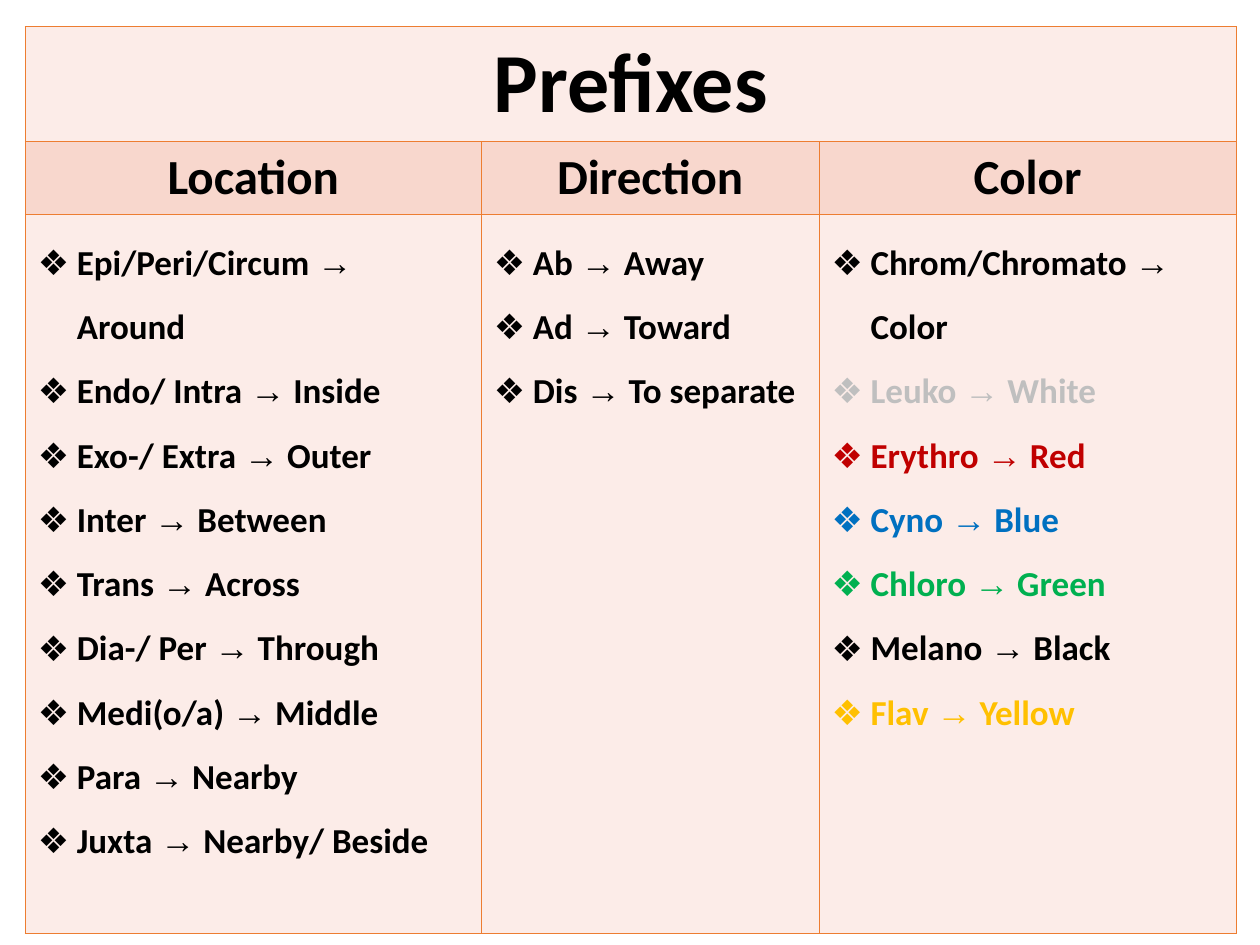
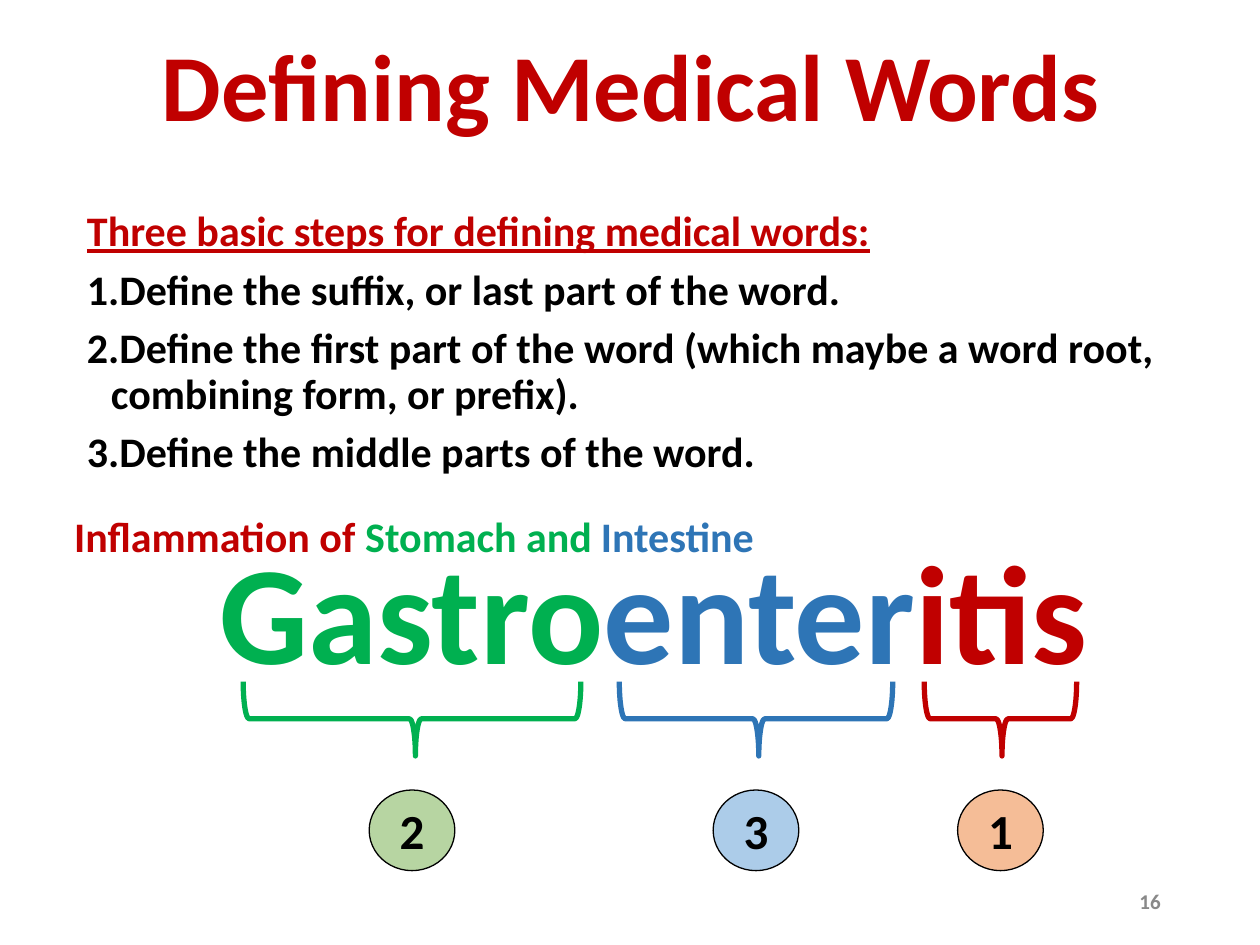
from dataclasses import dataclass

from lxml.etree import SubElement
from pptx import Presentation
from pptx.dml.color import RGBColor
from pptx.enum.shapes import MSO_SHAPE
from pptx.enum.text import MSO_ANCHOR, MSO_AUTO_SIZE, PP_ALIGN
from pptx.oxml.ns import qn
from pptx.util import Inches, Pt

COLUMNS, ROWS = 100, 75
SLIDE_WIDTH, SLIDE_HEIGHT = Inches(10), Inches(7.5)
TEXT_FONT, SYMBOL_FONT = "Calibri", "Arial"
BLACK = RGBColor(0x00, 0x00, 0x00)
GREY = RGBColor(0x89, 0x89, 0x89)
SILVER = RGBColor(0xBF, 0xBF, 0xBF)
RED = RGBColor(0xC0, 0x00, 0x00)
BLUE = RGBColor(0x00, 0x70, 0xC0)
DEEP_BLUE = RGBColor(0x2E, 0x75, 0xB6)
SKY_BLUE = RGBColor(0x5B, 0x9B, 0xD5)
GREEN = RGBColor(0x00, 0xB0, 0x50)
LEAF_GREEN = RGBColor(0x70, 0xAD, 0x47)
YELLOW = RGBColor(0xFF, 0xC0, 0x00)
ORANGE = RGBColor(0xED, 0x7D, 0x31)
PALE_ROSE = RGBColor(0xFC, 0xEC, 0xE8)
ROSE = RGBColor(0xF8, 0xD7, 0xCD)

PREFIXES = {
    "Location": [
        ("Epi/Peri/Circum → Around", BLACK),
        ("Endo/ Intra → Inside", BLACK),
        ("Exo-/ Extra → Outer", BLACK),
        ("Inter → Between", BLACK),
        ("Trans → Across", BLACK),
        ("Dia-/ Per → Through", BLACK),
        ("Medi(o/a) → Middle", BLACK),
        ("Para → Nearby", BLACK),
        ("Juxta → Nearby/ Beside", BLACK),
    ],
    "Direction": [
        ("Ab → Away", BLACK),
        ("Ad → Toward", BLACK),
        ("Dis → To separate", BLACK),
    ],
    "Color": [
        ("Chrom/Chromato → Color", BLACK),
        ("Leuko → White", SILVER),
        ("Erythro → Red", RED),
        ("Cyno → Blue", BLUE),
        ("Chloro → Green", GREEN),
        ("Melano → Black", BLACK),
        ("Flav → Yellow", YELLOW),
    ],
}
STEPS = [
    "Define the suffix, or last part of the word.",
    "Define the first part of the word (which maybe a word root, combining form, or prefix).",
    "Define the middle parts of the word.",
]
WORD_PARTS = [("Gastro", GREEN), ("enter", DEEP_BLUE), ("itis", RED)]
MEANINGS = [
    ("Inflammation of", RED, 0, 24.3),
    ("Stomach and", GREEN, 23.1, 20.8),
    ("Intestine", DEEP_BLUE, 41.8, 14.2),
]
BRACES = [
    ("2", GREEN, LEAF_GREEN, 27.8, 26.8),
    ("3", DEEP_BLUE, SKY_BLUE, 55.1, 21.7),
    ("1", RED, ORANGE, 74.5, 12.1),
]


def across(columns):
    """Turn grid columns into a length."""
    return round(SLIDE_WIDTH * columns / COLUMNS)


def down(rows):
    """Turn grid rows into a length."""
    return round(SLIDE_HEIGHT * rows / ROWS)


@dataclass
class Box:
    """An area of the slide in grid columns and rows."""

    left: float
    top: float
    width: float
    height: float

    def area(self, left, top, width, height):
        """Return an area placed relative to this one."""
        return Box(self.left + left, self.top + top, width, height)

    def lengths(self):
        """Return left, top, width and height as lengths."""
        return across(self.left), down(self.top), across(self.width), down(self.height)


def add_run(paragraph, text, size, color, font=TEXT_FONT):
    """Add a bold run to a paragraph and return it."""
    run = paragraph.add_run()
    run.text = text
    run.font.name, run.font.size, run.font.bold = font, Pt(size), True
    run.font.color.rgb = color
    return run


def next_paragraph(text_frame, index):
    """Return the first paragraph of a frame, or a new one after it."""
    return text_frame.add_paragraph() if index else text_frame.paragraphs[0]


def set_bullet(paragraph, indent, kind, color=BLACK, **attributes):
    """Give a paragraph a hanging indent and a bullet element."""
    properties = paragraph._p.get_or_add_pPr()
    properties.set("marL", str(Inches(indent)))
    properties.set("indent", str(-Inches(indent)))
    if kind != "buNone":
        bullet_color = SubElement(properties, qn("a:buClr"))
        SubElement(bullet_color, qn("a:srgbClr"), val=str(color))
    if kind == "buChar":
        SubElement(properties, qn("a:buFont"), typeface=SYMBOL_FONT)
    SubElement(properties, qn(f"a:{kind}"), **attributes)


def style_cell(cell, fill):
    """Draw a cell's borders and fill."""
    properties = cell._tc.get_or_add_tcPr()
    for side in ("lnL", "lnR", "lnT", "lnB"):
        border = SubElement(properties, qn(f"a:{side}"), w=str(Pt(0.45)))
        border_fill = SubElement(border, qn("a:solidFill"))
        SubElement(border_fill, qn("a:srgbClr"), val=str(ORANGE))
    cell.fill.solid()
    cell.fill.fore_color.rgb = fill
    cell.margin_right = Inches(0.15)


def write_heading(cell, text, size):
    """Write a centred heading in a cell."""
    cell.margin_right = cell.margin_left
    paragraph = cell.text_frame.paragraphs[0]
    paragraph.alignment = PP_ALIGN.CENTER
    add_run(paragraph, text, size, BLACK)


def write_prefixes(cell, prefixes):
    """List prefixes with their meanings in a cell."""
    for index, (text, color) in enumerate(prefixes):
        paragraph = next_paragraph(cell.text_frame, index)
        set_bullet(paragraph, 0.31, "buChar", color, char="❖")
        paragraph.line_spacing = 1.5
        prefix, arrow, meaning = text.partition("→")
        add_run(paragraph, prefix, 20, color)
        add_run(paragraph, arrow, 20, color, SYMBOL_FONT)
        add_run(paragraph, meaning, 20, color)


def add_prefix_table(slide, box):
    """Fill a box with the table of prefixes."""
    table = slide.shapes.add_table(3, len(PREFIXES), *box.lengths()).table
    table.first_row = table.horz_banding = False
    for column, width in zip(table.columns, (36.2, 26.8, 33.1)):
        column.width = across(width)
    for row, height, fill in zip(table.rows, (9.1, 5.7, 57.1), (PALE_ROSE, ROSE, PALE_ROSE)):
        row.height = down(height)
        for cell in row.cells:
            style_cell(cell, fill)
    table.cell(0, 0).merge(table.cell(0, len(PREFIXES) - 1))
    write_heading(table.cell(0, 0), "Prefixes", 48)
    for index, (heading, prefixes) in enumerate(PREFIXES.items()):
        write_heading(table.cell(1, index), heading, 28)
        write_prefixes(table.cell(2, index), prefixes)


def place(shape, box):
    """Move a placeholder to a box and keep its text size."""
    shape.left, shape.top, shape.width, shape.height = box.lengths()
    shape.text_frame.auto_size = MSO_AUTO_SIZE.NONE


def fill_title(shape, box, text):
    """Write the slide title in a box."""
    place(shape, box)
    shape.text_frame.vertical_anchor = MSO_ANCHOR.MIDDLE
    paragraph = shape.text_frame.paragraphs[0]
    paragraph.alignment, paragraph.line_spacing = PP_ALIGN.CENTER, 0.9
    add_run(paragraph, text, 54, RED)


def fill_steps(shape, box):
    """Write the numbered steps and the example word in a box."""
    place(shape, box)
    frame = shape.text_frame
    heading = frame.paragraphs[0]
    set_bullet(heading, 0.19, "buNone")
    add_run(heading, "Three basic steps for defining medical words:", 24, RED).font.underline = True
    for step in STEPS:
        paragraph = frame.add_paragraph()
        set_bullet(paragraph, 0.19, "buAutoNum", type="arabicPeriod")
        add_run(paragraph, step, 24, BLACK)
    word = frame.add_paragraph()
    set_bullet(word, 0.19, "buNone")
    word.alignment = PP_ALIGN.CENTER
    for text, color in WORD_PARTS:
        add_run(word, text, 80, color)
    for paragraph in frame.paragraphs:
        paragraph.line_spacing, paragraph.space_before = 0.9, Pt(7.5)
    heading.space_before, word.space_before = Pt(0), Pt(38)


def add_label(slide, box, text, size, color, alignment=PP_ALIGN.LEFT, wrap=False):
    """Add a one-line text box."""
    frame = slide.shapes.add_textbox(*box.lengths()).text_frame
    frame.word_wrap = wrap
    frame.paragraphs[0].alignment = alignment
    add_run(frame.paragraphs[0], text, size, color)
    return frame


def add_brace(slide, box, color):
    """Add a brace that opens upwards and fills a box."""
    upright = box.area((box.width - box.height) / 2, (box.height - box.width) / 2, box.height, box.width)
    brace = slide.shapes.add_shape(MSO_SHAPE.RIGHT_BRACE, *upright.lengths())
    brace.adjustments[0], brace.adjustments[1] = 0.08, 0.49
    brace.rotation = 90
    brace.shadow.inherit = False
    brace.fill.background()
    brace.line.color.rgb, brace.line.width = color, Pt(3)


def add_number_circle(slide, box, number, color):
    """Add a numbered circle with a half-transparent fill."""
    circle = slide.shapes.add_shape(MSO_SHAPE.OVAL, *box.lengths())
    circle.shadow.inherit = False
    circle.fill.solid()
    circle.fill.fore_color.rgb = color
    fill_color = circle._element.spPr.find(qn("a:solidFill")).find(qn("a:srgbClr"))
    SubElement(fill_color, qn("a:alpha"), val="50000")
    circle.line.color.rgb, circle.line.width = BLACK, Pt(0.75)
    circle.text_frame.vertical_anchor = MSO_ANCHOR.MIDDLE
    paragraph = circle.text_frame.paragraphs[0]
    paragraph.alignment = PP_ALIGN.CENTER
    add_run(paragraph, number, 28, BLACK)


def add_word_analysis(slide, box):
    """Place meanings, braces and step numbers around the example word."""
    for text, color, left, width in MEANINGS:
        add_label(slide, box.area(left, 0, width, 5), text, 24, color)
    for number, color, fill, center, span in BRACES:
        add_brace(slide, box.area(center - span / 2, 14.1, span, 5.9), color)
        add_number_circle(slide, box.area(center - 3.4, 22.7, 6.8, 6.4), number, fill)


def add_page_number(slide, box, number):
    """Write the page number at the right of a box."""
    frame = add_label(slide, box, number, 12, GREY, PP_ALIGN.RIGHT, True)
    frame.vertical_anchor = MSO_ANCHOR.MIDDLE


def build_prefix_slide(presentation, box):
    """Build the slide with the prefix table."""
    slide = presentation.slides.add_slide(presentation.slide_layouts[6])
    add_prefix_table(slide, box.area(2, 2.1, 96.1, 71.9))


def build_definition_slide(presentation, box):
    """Build the slide on defining medical words."""
    slide = presentation.slides.add_slide(presentation.slide_layouts[1])
    fill_title(slide.shapes.title, box.area(6.9, 0, 86.3, 14.5), "Defining Medical Words")
    fill_steps(slide.placeholders[1], box.area(5.9, 16.2, 91.9, 47.6))
    add_page_number(slide, box.area(70.6, 69.5, 22.5, 4), "16")
    add_word_analysis(slide, box.area(4.9, 40, 81, 29.1))


def main():
    """Build and save the presentation."""
    presentation = Presentation()
    presentation.slide_width, presentation.slide_height = SLIDE_WIDTH, SLIDE_HEIGHT
    whole_slide = Box(0, 0, COLUMNS, ROWS)
    build_prefix_slide(presentation, whole_slide)
    build_definition_slide(presentation, whole_slide)
    presentation.save("out.pptx")


if __name__ == "__main__":
    main()
